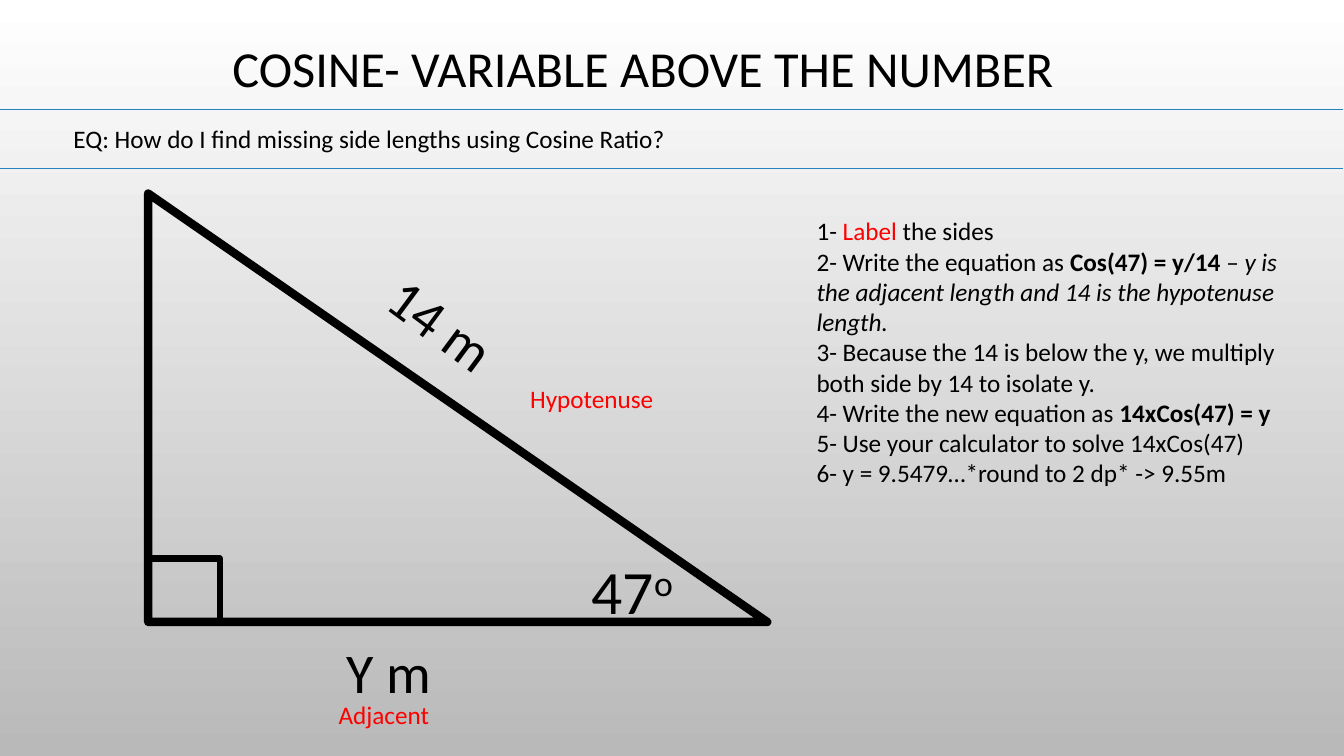
import pptx
import pptx.dml.color
import pptx.enum.shapes
import pptx.enum.text
import pptx.util
from lxml import etree
from pptx.util import Inches

COLORS = {"black": "000000", "red": "FF0000", "rule": "2683BF",
          "top": "FFFFFF", "bottom": "B9B9B9"}
A = "{http://schemas.openxmlformats.org/drawingml/2006/main}"
SHAPE = pptx.enum.shapes.MSO_SHAPE
STEPS = [
    [("1- ", {}), ("Label", {"color": "red"}), (" the sides", {})],
    [("2- Write the equation as ", {}), ("Cos(47) = y/14 ", {"bold": True}), ("– ", {}),
     ("y is the adjacent length and 14 is the hypotenuse length.", {"italic": True})],
    [("3- Because the 14 is below the y, we multiply both side by 14 to isolate y.", {})],
    [("4- Write the new equation as ", {}), ("14xCos(47) = y", {"bold": True})],
    [("5- Use your calculator to solve 14xCos(47)", {})],
    [("6- y = 9.5479…*round to 2 dp* -> 9.55m", {})],
]


def rgb(name):
    return pptx.dml.color.RGBColor.from_string(COLORS[name])


def add_run(p, text, size=18, color="black", bold=False, italic=False, raised=False):
    r = p.add_run()
    r.text = text
    r.font.name = "Calibri"
    r.font.size = pptx.util.Pt(size)
    r.font.color.rgb = rgb(color)
    r.font.bold = bold
    r.font.italic = italic
    if raised:
        r._r.get_or_add_rPr().set("baseline", "30000")


def add_text(s, box, paragraphs, wrap=False, rotation=0, **style):
    sp = s.shapes.add_textbox(*map(Inches, box))
    sp.rotation = rotation
    tf = sp.text_frame
    tf.word_wrap = wrap
    tf.auto_size = pptx.enum.text.MSO_AUTO_SIZE.SHAPE_TO_FIT_TEXT
    if isinstance(paragraphs, str):
        paragraphs = [[(paragraphs, {})]]
    for i, runs in enumerate(paragraphs):
        p = tf.paragraphs[0] if i == 0 else tf.add_paragraph()
        for text, extra in runs:
            add_run(p, text, **{**style, **extra})
    return sp


def add_title(s, text):
    tf = add_text(s, (0.63, -0.02, 11.5, 1.45), text, wrap=True, size=36).text_frame
    tf.auto_size = pptx.enum.text.MSO_AUTO_SIZE.NONE
    tf.vertical_anchor = pptx.enum.text.MSO_ANCHOR.MIDDLE
    tf.paragraphs[0].alignment = pptx.enum.text.PP_ALIGN.CENTER
    tf.paragraphs[0].line_spacing = 0.9


def add_outline(s, kind, box, width):
    sp = s.shapes.add_shape(kind, *map(Inches, box))
    sp.shadow.inherit = False
    sp.fill.background()
    sp.line.color.rgb = rgb("black")
    sp.line.width = pptx.util.Pt(width)
    etree.SubElement(sp.line._get_or_add_ln(), A + "round")


def add_rule(s, y):
    line = s.shapes.add_connector(pptx.enum.shapes.MSO_CONNECTOR.STRAIGHT,
                                  Inches(-0.02), Inches(y), Inches(13.32), Inches(y))
    line.line.color.rgb = rgb("rule")
    line.line.width = pptx.util.Pt(0.75)
    etree.SubElement(line._element.spPr, A + "effectLst")


def set_background(s):
    fill = s.background.fill
    fill.gradient()
    fill.gradient_angle = 270
    for stop, name, position in zip(fill.gradient_stops, ("top", "bottom"), (0, 1)):
        stop.color.rgb = rgb(name)
        stop.position = position


def main():
    prs = pptx.Presentation()
    prs.slide_width, prs.slide_height = Inches(13.33), Inches(7.5)
    s = prs.slides.add_slide(prs.slide_layouts[6])
    set_background(s)
    add_title(s, "COSINE- VARIABLE ABOVE THE NUMBER")
    add_outline(s, SHAPE.RIGHT_TRIANGLE, (1.47, 1.92, 6.14, 4.25), 6)
    add_text(s, (3.34, 6.28, 1.05, 0.77), "Y m", size=40)
    add_outline(s, SHAPE.RECTANGLE, (1.47, 5.54, 0.71, 0.63), 4.5)
    add_text(s, (5.77, 5.44, 1.04, 0.84), [[("47", {}), ("o", {"raised": True})]], size=44)
    add_text(s, (3.72, 2.83, 1.34, 0.77), "14 m", rotation=36.5, size=40)
    add_text(s, (8, 2.09, 5.01, 3.13), STEPS, wrap=True)
    add_text(s, (5.16, 3.75, 1.44, 0.4), "Hypotenuse", color="red")
    add_text(s, (3.26, 6.89, 1.11, 0.4), "Adjacent", color="red")
    for y in (1.09, 1.67):
        add_rule(s, y)
    add_text(s, (0.63, 1.17, 6.11, 0.71),
             "EQ: How do I find missing side lengths using Cosine Ratio?")
    prs.save("out.pptx")


if __name__ == "__main__":
    main()
